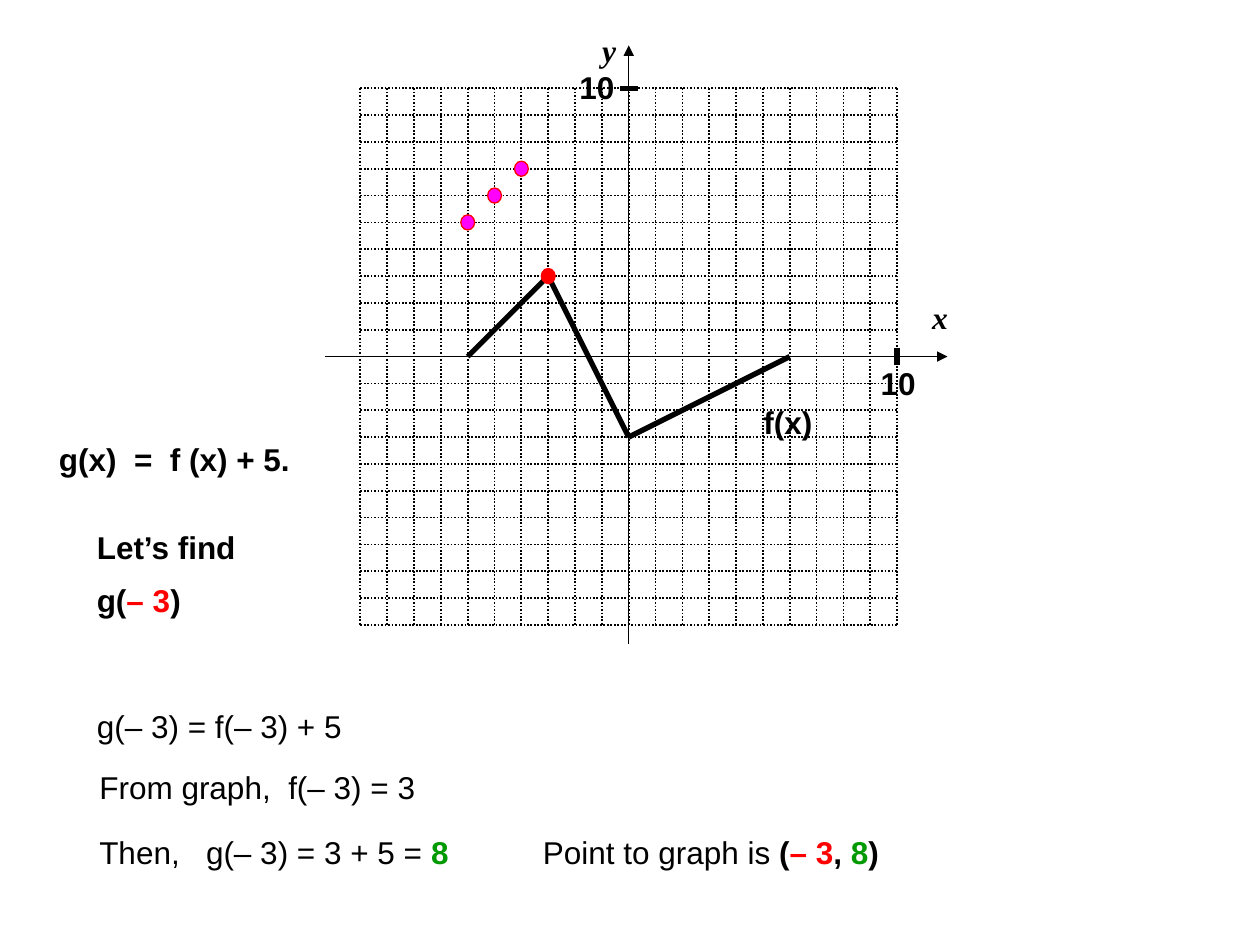
import pptx
import pptx.dml.color
import pptx.enum.dml
import pptx.enum.shapes
import pptx.enum.text
import pptx.oxml.ns
import pptx.util
from lxml import etree

Inches = pptx.util.Inches
RGBColor = pptx.dml.color.RGBColor

BLACK = RGBColor(0x00, 0x00, 0x00)
RED = RGBColor(0xFF, 0x00, 0x00)
GREEN = RGBColor(0x00, 0x99, 0x00)
MAGENTA = RGBColor(0xFF, 0x00, 0xFF)

REACH = 10
UNIT = 4.26 / (2 * REACH)
ORIGIN_X, ORIGIN_Y = 4.99, 2.83
TICK = 0.07
DOT_WIDTH, DOT_HEIGHT = 0.11, 0.12

F_POINTS = [(-6, 0), (-3, 3), (0, -3), (6, 0)]
G_POINTS = [(-6, 5), (-5, 6), (-4, 7)]


def to_slide(x, y):
    """Turn graph coordinates into slide inches."""
    return ORIGIN_X + x * UNIT, ORIGIN_Y - y * UNIT


def add_line(slide, start, end, width, dash=None, arrow=False):
    """Draw a black line, with an optional arrowhead at its start."""
    sp = slide.shapes.add_connector(
        pptx.enum.shapes.MSO_CONNECTOR.STRAIGHT,
        *(Inches(v) for v in (*start, *end)))
    sp.line.color.rgb = BLACK
    sp.line.width = pptx.util.Pt(width)
    if dash is not None:
        sp.line.dash_style = dash
    qn = pptx.oxml.ns.qn
    props = sp._element.spPr
    if arrow:
        etree.SubElement(props.find(qn("a:ln")), qn("a:headEnd"), type="triangle")
    etree.SubElement(props, qn("a:effectLst"))


def add_dot(slide, point, fill):
    """Mark a graph point with a red-edged dot."""
    x, y = to_slide(*point)
    sp = slide.shapes.add_shape(
        pptx.enum.shapes.MSO_SHAPE.OVAL,
        Inches(x - DOT_WIDTH / 2), Inches(y - DOT_HEIGHT / 2),
        Inches(DOT_WIDTH), Inches(DOT_HEIGHT))
    sp.shadow.inherit = False
    sp.fill.solid()
    sp.fill.fore_color.rgb = fill
    sp.line.color.rgb = RED
    sp.line.width = pptx.util.Pt(0.75)


def add_run(p, text, color=BLACK, bold=False, italic=False, font="Arial", size=18):
    """Append formatted text to a paragraph."""
    r = p.add_run()
    r.text = text
    r.font.name = font
    r.font.size = pptx.util.Pt(size)
    r.font.bold = bold
    r.font.italic = italic
    r.font.color.rgb = color


def add_label(slide, left, top, width, *runs, **style):
    """Add a one-line text box of (text, format) runs, with slack on the right."""
    sp = slide.shapes.add_textbox(
        Inches(left), Inches(top), Inches(width), Inches(0.4))
    tf = sp.text_frame
    tf.word_wrap = False
    tf.auto_size = pptx.enum.text.MSO_AUTO_SIZE.SHAPE_TO_FIT_TEXT
    tf.margin_right = Inches(0.04)
    for text, own in runs:
        add_run(tf.paragraphs[0], text, **{**style, **own})


def add_grid(slide):
    """Draw the dotted grid."""
    dash = pptx.enum.dml.MSO_LINE.ROUND_DOT
    for i in range(-REACH, REACH + 1):
        add_line(slide, to_slide(i, REACH), to_slide(i, -REACH), 1, dash)
        add_line(slide, to_slide(-REACH, i), to_slide(REACH, i), 1, dash)


def add_axes(slide):
    """Draw both axes with their ticks and labels."""
    add_line(slide, (ORIGIN_X, 0.36), (ORIGIN_X, 5.11), 0.75, arrow=True)
    add_line(slide, (7.52, ORIGIN_Y), (2.58, ORIGIN_Y), 0.75, arrow=True)
    x, y = to_slide(REACH, REACH)
    add_line(slide, (x, ORIGIN_Y - TICK), (x, ORIGIN_Y + TICK), 3)
    add_line(slide, (ORIGIN_X - TICK, y), (ORIGIN_X + TICK, y), 3)
    for left, top, width, name in [(4.68, 0.2, 0.31, "y"), (7.3, 2.32, 0.32, "x")]:
        add_label(slide, left, top, width, (name, {}),
                  font="Times New Roman", bold=True, italic=True)
    for left, top in [(6.89, 2.84), (4.5, 0.49)]:
        add_label(slide, left, top, 0.48, (str(REACH), {}), bold=True)


def add_working(slide):
    """Write the worked example around the graph."""
    red, green, bold = {"color": RED}, {"color": GREEN}, {"bold": True}
    add_label(slide, 5.96, 3.15, 0.59, ("f(x)", bold))
    add_label(slide, 0.37, 3.44, 2.03, ("g(x)  =  f (x) + 5.", bold))
    add_label(slide, 0.67, 4.14, 1.31, ("Let’s find", bold))
    add_label(slide, 0.67, 4.56, 0.86,
              ("g(", {}), ("– 3", red), (")", {}), bold=True)
    add_label(slide, 0.67, 5.56, 2.14, ("g(– 3) = f(– 3) + 5", {}))
    add_label(slide, 0.69, 6.05, 2.71, ("From graph,  f(– 3) = 3", {}))
    add_label(slide, 0.69, 6.56, 2.97,
              ("Then,   g(– 3) = 3 + 5 = ", {}), ("8", {**green, **bold}))
    add_label(slide, 4.21, 6.56, 2.86,
              ("Point to graph is ", {"bold": False}), ("(", {}), ("– 3", red),
              (", ", {}), ("8", green), (")", {}), bold=True)


def main():
    """Build the slide and save it."""
    prs = pptx.Presentation()
    prs.slide_width, prs.slide_height = Inches(10), Inches(7.5)
    slide = prs.slides.add_slide(prs.slide_layouts[6])
    for start, end in zip(F_POINTS, F_POINTS[1:]):
        add_line(slide, to_slide(*start), to_slide(*end), 3)
    add_grid(slide)
    add_axes(slide)
    add_dot(slide, F_POINTS[1], RED)
    for point in G_POINTS:
        add_dot(slide, point, MAGENTA)
    add_working(slide)
    prs.save("out.pptx")


if __name__ == "__main__":
    main()
